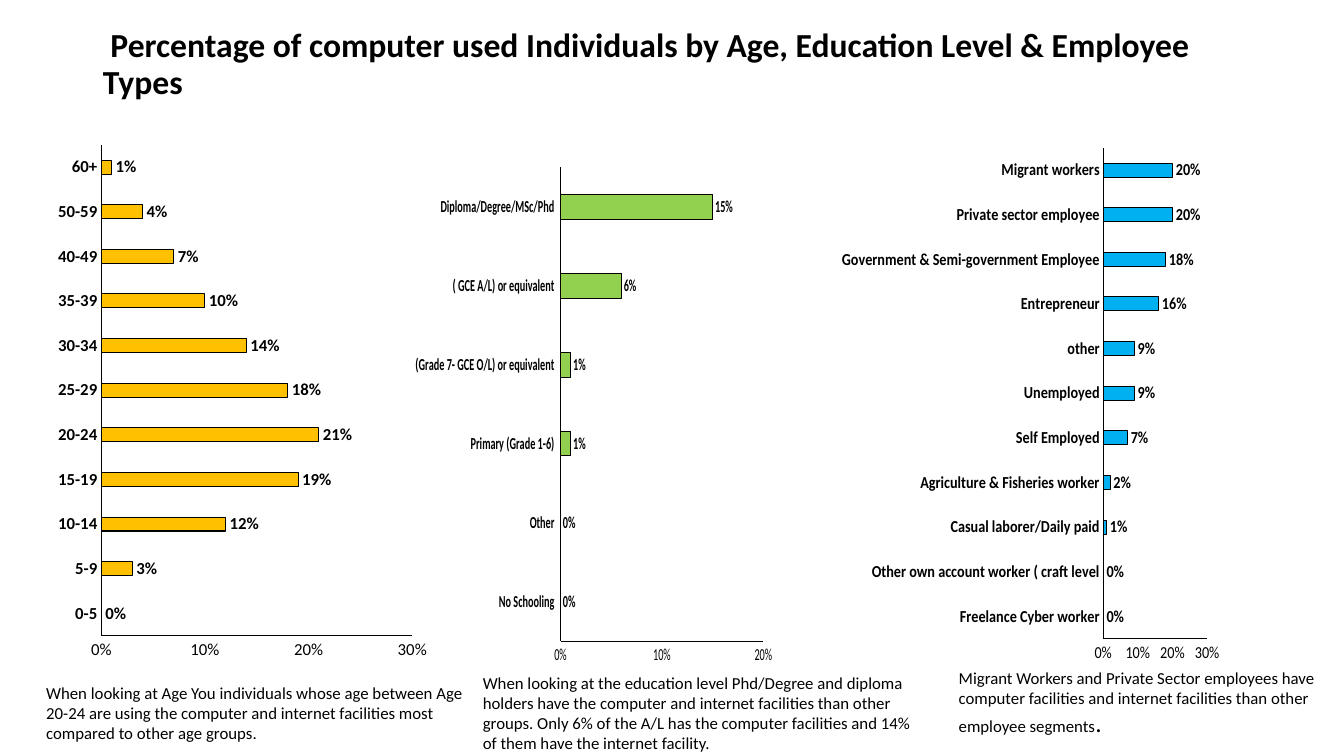
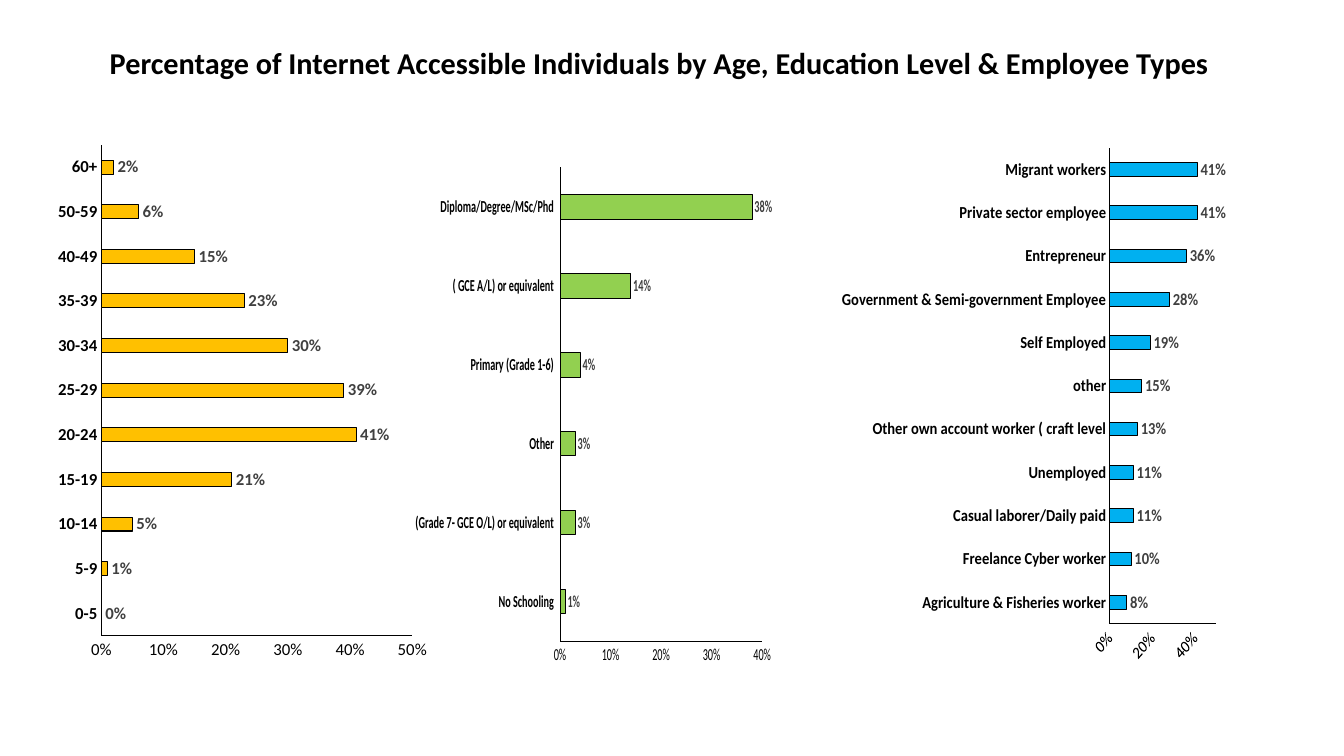
"""Build two slides that compare computer use and internet access by group."""
from lxml import etree
from pptx import Presentation
from pptx import util as u
from pptx.chart import data as chart_data
from pptx.dml import color
from pptx.enum import chart as charts, text
from pptx.oxml import ns

COLOURS = {
    "text": "000000",
    "soft_text": "404040",
    "age": "FFC000",
    "education": "92D050",
    "employee": "00B0F0",
}
FONT = "Calibri"

AGE = {
    "0-5": (0, 0),
    "5-9": (3, 1),
    "10-14": (12, 5),
    "15-19": (19, 21),
    "20-24": (21, 41),
    "25-29": (18, 39),
    "30-34": (14, 30),
    "35-39": (10, 23),
    "40-49": (7, 15),
    "50-59": (4, 6),
    "60+": (1, 2),
}
EDUCATION = {
    "No Schooling": (0, 1),
    "Primary (Grade 1-6)": (1, 4),
    "(Grade 7- GCE O/L) or equivalent": (1, 3),
    "Other": (0, 3),
    "( GCE A/L) or equivalent": (6, 14),
    "Diploma/Degree/MSc/Phd": (15, 38),
}
EMPLOYEE = {
    "Freelance Cyber worker": (0, 10),
    "Other own account worker ( craft level": (0, 13),
    "Casual laborer/Daily paid": (1, 11),
    "Agriculture & Fisheries worker": (2, 8),
    "Self Employed": (7, 19),
    "Unemployed": (9, 11),
    "other": (9, 15),
    "Entrepreneur": (16, 36),
    "Government & Semi-government Employee": (18, 28),
    "Private sector employee": (20, 41),
    "Migrant workers": (20, 41),
}
CAPTIONS = [
    ((0.36, 6.72, 4.47, 0.71), [
        ("When looking at Age You individuals whose age between Age 20-24 are using the "
         "computer and internet facilities most compared to other age groups.", 12)]),
    ((4.69, 6.62, 4.6, 0.91), [
        ("When looking at the education level Phd/Degree and diploma holders have the "
         "computer and internet facilities than other groups. Only 6% of the A/L has the "
         "computer facilities and 14% of them have the internet facility.", 12)]),
    ((9.41, 6.57, 3.92, 0.81), [
        ("Migrant Workers and Private Sector employees have computer facilities and "
         "internet facilities than other employee segments", 12),
        (".", 18)]),
]


def rgb(name):
    return color.RGBColor.from_string(COLOURS[name])


def ranked(groups, column):
    return sorted(((name, values[column]) for name, values in groups.items()),
                  key=lambda pair: pair[1])


class Deck:
    def __init__(self):
        self.presentation = Presentation()
        self.presentation.slide_width = u.Inches(13.33)
        self.presentation.slide_height = u.Inches(7.5)
        self.slide = None

    def add_slide(self):
        layout = self.presentation.slide_layouts.get_by_name("Title Only")
        self.slide = self.presentation.slides.add_slide(layout)

    def style_font(self, font, size, bold=False, colour="text"):
        font.name = FONT
        font.size = u.Pt(size)
        font.bold = bold
        font.color.rgb = rgb(colour)

    def style_line(self, line):
        line.color.rgb = rgb("text")
        line.width = u.Pt(0.75)

    def add_run(self, paragraph, content, size, bold=False):
        run = paragraph.add_run()
        run.text = content
        self.style_font(run.font, size, bold)

    def add_title(self, content, size):
        title = self.slide.shapes.title
        title.left, title.top, title.width, title.height = map(u.Inches, (0.92, 0.4, 11.5, 0.49))
        frame = title.text_frame
        frame.word_wrap = True
        frame.auto_size = text.MSO_AUTO_SIZE.NONE
        frame.vertical_anchor = text.MSO_ANCHOR.MIDDLE
        paragraph = frame.paragraphs[0]
        paragraph.alignment = text.PP_ALIGN.LEFT
        paragraph.line_spacing = 0.9
        self.add_run(paragraph, content, size, bold=True)

    def add_caption(self, box, runs):
        frame = self.slide.shapes.add_textbox(*map(u.Inches, box)).text_frame
        frame.word_wrap = True
        frame.auto_size = text.MSO_AUTO_SIZE.SHAPE_TO_FIT_TEXT
        for content, size in runs:
            self.add_run(frame.paragraphs[0], content, size)

    def style_axis(self, axis, bold):
        axis.has_major_gridlines = False
        axis.major_tick_mark = charts.XL_TICK_MARK.NONE
        axis.minor_tick_mark = charts.XL_TICK_MARK.NONE
        self.style_font(axis.tick_labels.font, 12, bold)
        self.style_line(axis.format.line)

    def set_inner_plot(self, chart, x, y, w, h):
        plot_area = chart.plots[0]._element.getparent()
        for old in plot_area.findall(ns.qn("c:layout")):
            plot_area.remove(old)
        layout = etree.Element(ns.qn("c:layout"))
        manual = etree.SubElement(layout, ns.qn("c:manualLayout"))
        settings = {"layoutTarget": "inner", "xMode": "edge", "yMode": "edge",
                    "x": x, "y": y, "w": w, "h": h}
        for tag, value in settings.items():
            etree.SubElement(manual, ns.qn("c:" + tag)).set("val", str(value))
        plot_area.insert(0, layout)

    def add_bars(self, box, pairs, maximum, fill, label_colour, inner_plot=None):
        data = chart_data.CategoryChartData(number_format="0%")
        data.categories = [name for name, _ in pairs]
        data.add_series("Series 1", [percent / 100 for _, percent in pairs])
        chart = self.slide.shapes.add_chart(
            charts.XL_CHART_TYPE.BAR_CLUSTERED, *map(u.Inches, box), data).chart
        self.style_font(chart.font, 10)
        chart.has_title = False
        chart.has_legend = False
        self.style_axis(chart.category_axis, bold=True)
        value_axis = chart.value_axis
        self.style_axis(value_axis, bold=False)
        value_axis.minimum_scale = 0
        value_axis.maximum_scale = maximum
        value_axis.major_unit = 0.1
        value_axis.tick_labels.number_format = "0%"
        value_axis.tick_labels.number_format_is_linked = False

        plot = chart.plots[0]
        plot.gap_width = 219
        plot.vary_by_categories = False
        series = plot.series[0]
        series.format.fill.solid()
        series.format.fill.fore_color.rgb = rgb(fill)
        self.style_line(series.format.line)
        labels = series.data_labels
        labels.show_value = True
        labels.number_format = "0%"
        labels.number_format_is_linked = False
        labels.position = charts.XL_LABEL_POSITION.OUTSIDE_END
        self.style_font(labels.font, 12, True, label_colour)
        if inner_plot:
            chart.category_axis.tick_label_position = charts.XL_TICK_LABEL_POSITION.LOW
            self.set_inner_plot(chart, *inner_plot)

    def add_comparison(self, title, title_size, column, maxima, label_colour):
        self.add_slide()
        self.add_title(title, title_size)
        age_max, education_max, employee_max = maxima
        ages = [(name, values[column]) for name, values in AGE.items()]
        self.add_bars((0.5, 1.33, 3.81, 5.32), ages, age_max, "age", label_colour)
        self.add_bars((4.12, 1.51, 3.54, 5.12), ranked(EDUCATION, column), education_max,
                      "education", label_colour, inner_plot=(0.063, 0.029, 0.933, 0.918))
        self.add_bars((8.35, 1.36, 3.81, 5.32), ranked(EMPLOYEE, column), employee_max,
                      "employee", label_colour)


def main():
    deck = Deck()
    deck.add_comparison(
        " Percentage of computer used Individuals by Age, Education Level & Employee Types",
        24, 0, (0.3, 0.2, 0.3), "text")
    for box, runs in CAPTIONS:
        deck.add_caption(box, runs)
    deck.add_comparison(
        " Percentage of Internet Accessible Individuals by Age, Education Level & Employee Types",
        21.6, 1, (0.5, 0.4, 0.5), "soft_text")
    deck.presentation.save("out.pptx")


if __name__ == "__main__":
    main()
